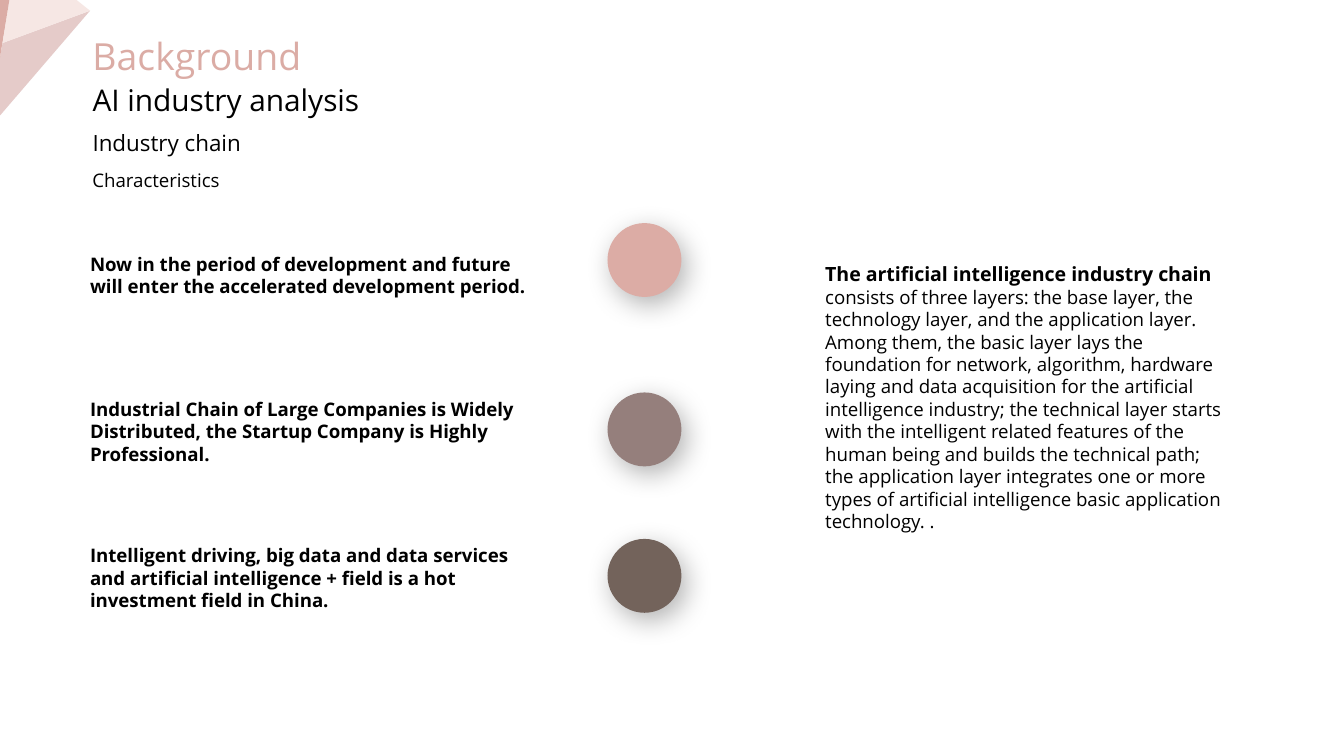
from dataclasses import dataclass

from lxml import etree
from pptx import Presentation
from pptx.dml.color import RGBColor
from pptx.enum.shapes import MSO_SHAPE
from pptx.enum.text import MSO_AUTO_SIZE
from pptx.oxml.ns import qn
from pptx.util import Inches, Pt

OVAL = MSO_SHAPE.OVAL
FIT_SHAPE = MSO_AUTO_SIZE.SHAPE_TO_FIT_TEXT


@dataclass(frozen=True)
class Theme:
    font: str = "Open Sans"
    text: str = "000000"
    accent: str = "DBACA5"
    facet_dark: str = "E5CBC9"
    facet_light: str = "F6E7E4"
    circles: tuple = ("DCACA5", "957F7C", "73635B")
    title: float = 20
    subtitle: float = 16
    section: float = 12
    lead: float = 10.5
    body: float = 10


class SlideBuilder:
    def __init__(self, slide, theme):
        self.shapes = slide.shapes
        self.theme = theme

    def paint(self, shape, color):
        shape.shadow.inherit = False
        shape.fill.solid()
        shape.fill.fore_color.rgb = RGBColor.from_string(color)
        shape.line.fill.background()

    def facet(self, points, color):
        """Draw a filled polygon from corner points in inches."""
        corners = [(Inches(x), Inches(y)) for x, y in points]
        outline = self.shapes.build_freeform(*corners[0])
        outline.add_line_segments(corners[1:], close=True)
        self.paint(outline.convert_to_shape(), color)

    def circle(self, left, top, size, color):
        shape = self.shapes.add_shape(
            OVAL, Inches(left), Inches(top), Inches(size), Inches(size))
        self.paint(shape, color)
        self.soft_shadow(shape)

    def soft_shadow(self, shape):
        effects = shape._element.spPr.find(qn("a:effectLst"))
        shadow = etree.SubElement(
            effects, qn("a:outerShdw"), blurRad=str(Pt(15)), dist=str(Pt(5)),
            dir=str(55 * 60000), algn="tl", rotWithShape="0")
        color = etree.SubElement(shadow, qn("a:srgbClr"), val=self.theme.text)
        etree.SubElement(color, qn("a:alpha"), val="30000")

    def text(self, place, spans, wrap=True, inset=None):
        """Add a one-paragraph box; spans are (text, size, bold, color)."""
        box = self.shapes.add_textbox(*[Inches(value) for value in place])
        frame = box.text_frame
        frame.word_wrap = wrap
        frame.auto_size = FIT_SHAPE
        if inset is not None:
            frame.margin_left = frame.margin_right = Inches(inset)
            frame.margin_top = frame.margin_bottom = Inches(inset)
        for words, size, bold, color in spans:
            span = frame.paragraphs[0].add_run()
            span.text = words
            span.font.name = self.theme.font
            span.font.size = Pt(size)
            span.font.bold = bold
            span.font.color.rgb = RGBColor.from_string(color)


def main():
    theme = Theme()
    deck = Presentation()
    deck.slide_width = Inches(10)
    deck.slide_height = deck.slide_width * 9 // 16
    page = SlideBuilder(deck.slides.add_slide(deck.slide_layouts[6]), theme)

    tip, fold = (0.67, 0.08), (0.02, 0.32)
    page.facet([tip, fold, (0, 0.43), (0, 0.86)], theme.facet_dark)
    page.facet([tip, (0.57, 0), (0.07, 0), fold], theme.facet_light)
    page.facet([(0.07, 0), (0, 0), (0, 0.43)], theme.accent)

    headings = [
        ("Background", 0.2, 1.8, 0.44, theme.title, theme.accent, False),
        ("AI industry analysis", 0.56, 2.28, 0.37, theme.subtitle, theme.text, False),
        ("Industry chain", 0.91, 2.92, 0.3, theme.section, theme.text, True),
        ("Characteristics", 1.21, 1.44, 0.27, theme.body, theme.text, True),
    ]
    for words, top, width, height, size, color, wrap in headings:
        page.text((0.59, top, width, height), [(words, size, False, color)], wrap)

    for top, color in zip((1.66, 2.92, 4.01), theme.circles):
        page.circle(4.52, top, 0.55, color)

    page.text((6.14, 1.95, 3.01, 2.03), [
        ("The artificial intelligence industry chain ", theme.lead, True, theme.text),
        ("consists of three layers: the base layer, the technology layer, and the "
         "application layer. Among them, the basic layer lays the foundation for "
         "network, algorithm, hardware laying and data acquisition for the artificial "
         "intelligence industry; the technical layer starts with the intelligent "
         "related features of the human being and builds the technical path; the "
         "application layer integrates one or more types of artificial intelligence "
         "basic application technology. .", theme.body, False, theme.text),
    ], inset=0)

    characteristics = [
        (1.88, 0.34, "Now in the period of development and future will enter the "
                     "accelerated development period."),
        (2.96, 0.5, "Industrial Chain of Large Companies is Widely Distributed, the "
                    "Startup Company is Highly Professional."),
        (4.05, 0.5, "Intelligent driving, big data and data services and artificial "
                    "intelligence + field is a hot investment field in China."),
    ]
    for top, height, words in characteristics:
        page.text((0.67, top, 3.37, height),
                  [(words, theme.body, True, theme.text)], inset=0)

    deck.save("out.pptx")


if __name__ == "__main__":
    main()
